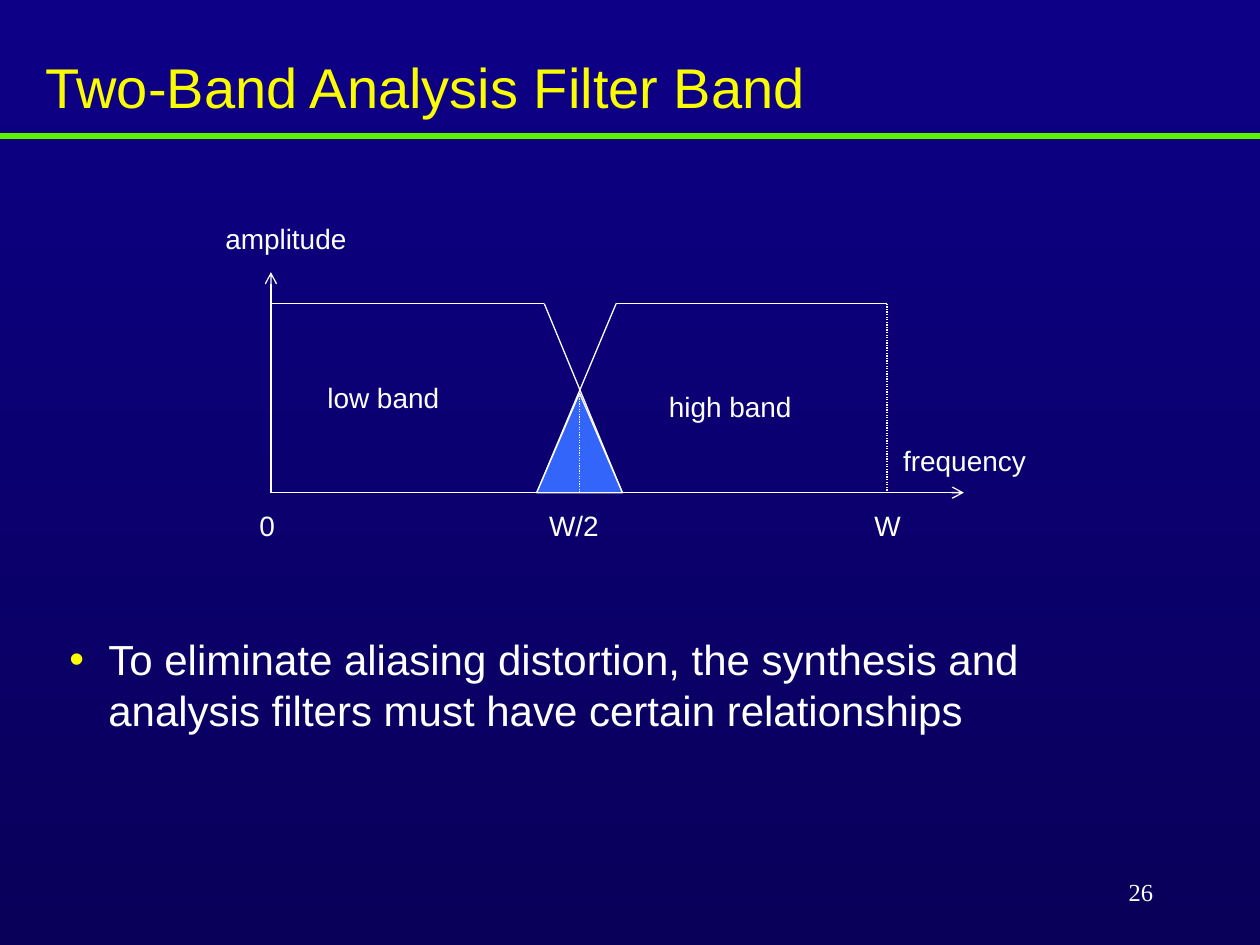
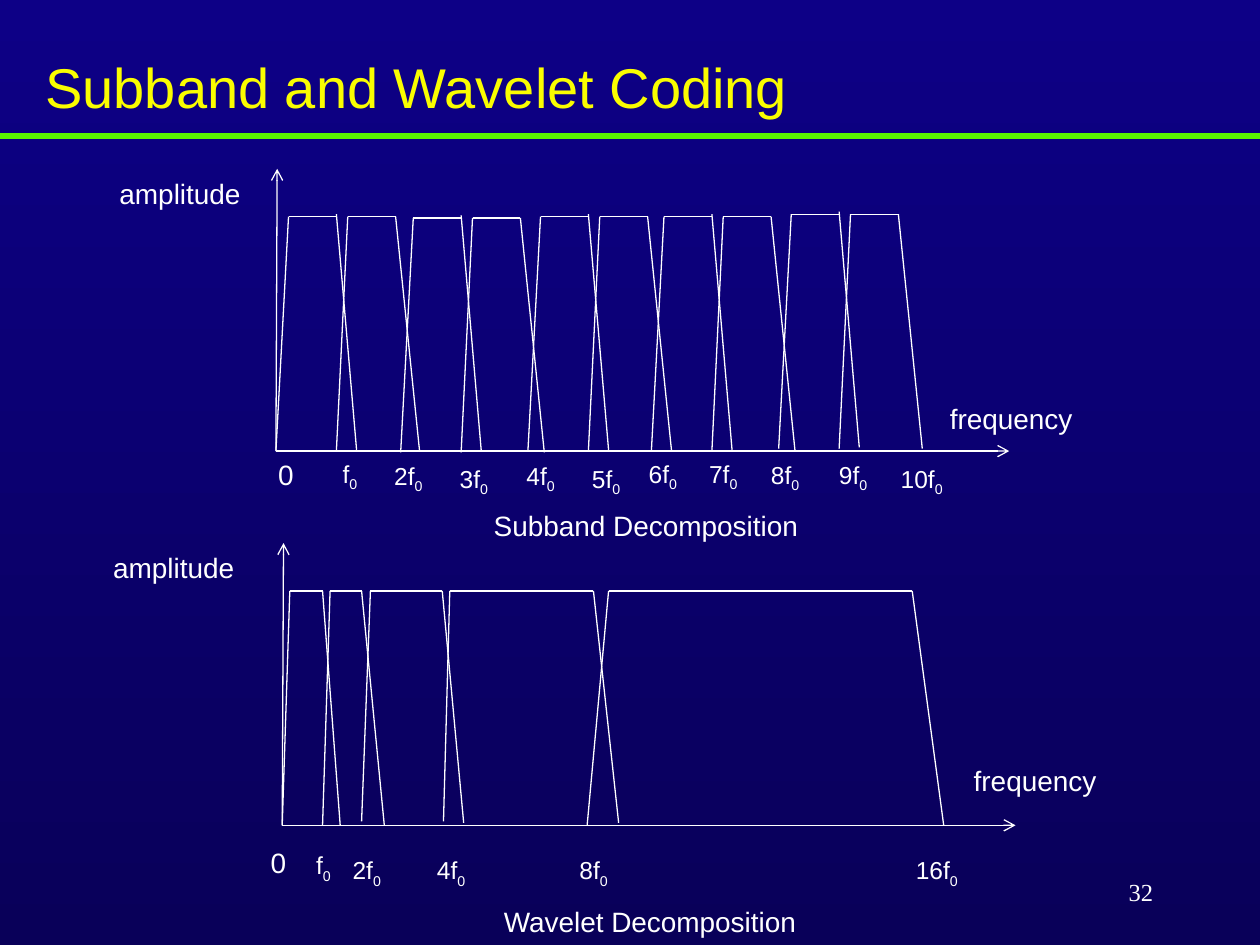
from dataclasses import dataclass
from typing import Any, Optional

from lxml.etree import SubElement
from pptx import Presentation
from pptx.dml.color import RGBColor
from pptx.enum.dml import MSO_LINE
from pptx.enum.shapes import MSO_CONNECTOR
from pptx.enum.text import MSO_ANCHOR, MSO_AUTO_SIZE, PP_ALIGN
from pptx.oxml.ns import qn
from pptx.util import Inches, Pt

COLORS = {
    "background_top": "0D0086",
    "background_bottom": "090059",
    "rule": "5AF400",
    "title": "FAFD00",
    "text": "FFFFFF",
    "overlap": "3365FB",
}
FONTS = {
    "title": {"name": "Arial", "size": Pt(32)},
    "body": {"name": "Arial", "size": Pt(24)},
    "label": {"name": "Arial", "size": Pt(16)},
    "tick": {"name": "Arial", "size": Pt(14)},
    "number": {"name": "Times New Roman", "size": Pt(14)},
}
FRAME = {
    "auto_size": MSO_AUTO_SIZE.NONE,
    "word_wrap": True,
    "margin_left": Inches(0.1),
    "margin_right": Inches(0.1),
    "margin_top": Inches(0.05),
    "margin_bottom": Inches(0.05),
}
PLAIN_PARAGRAPH = {"alignment": PP_ALIGN.LEFT, "space_before": Pt(0)}
TITLE_PARAGRAPH = {**PLAIN_PARAGRAPH, "line_spacing": 0.9}


@dataclass(frozen=True)
class Box:
    left: float
    top: float
    width: float
    height: float


@dataclass(frozen=True)
class Label:
    text: str
    box: Box
    style: str = "label"
    subscript: str = ""
    wrap: bool = True


@dataclass(frozen=True)
class Line:
    x1: float
    y1: float
    x2: float
    y2: float
    color: str = "text"
    weight: float = 0.75
    arrow: bool = False
    dash: Optional[Any] = None


@dataclass(frozen=True)
class Band:
    rise_foot: float
    rise_top: float
    fall_top: float
    fall_foot: float
    top: float
    rise_bottom: float
    fall_bottom: float
    peak: float = 0


def rgb(color: str) -> RGBColor:
    return RGBColor.from_string(COLORS[color])


def assign(target: Any, values: dict[str, Any]) -> None:
    for attribute, value in values.items():
        setattr(target, attribute, value)


def place(shape: Any, box: Box) -> None:
    for side in ("left", "top", "width", "height"):
        setattr(shape, side, Inches(getattr(box, side)))


def add_run(paragraph: Any, text: str, style: str, color: str = "text") -> Any:
    run = paragraph.add_run()
    run.text = text
    assign(run.font, FONTS[style])
    run.font.color.rgb = rgb(color)
    return run


def add_line(slide: Any, line: Line) -> None:
    ends = (Inches(value) for value in (line.x1, line.y1, line.x2, line.y2))
    connector = slide.shapes.add_connector(MSO_CONNECTOR.STRAIGHT, *ends)
    connector.line.color.rgb = rgb(line.color)
    connector.line.width = Pt(line.weight)
    if line.dash is not None:
        connector.line.dash_style = line.dash
    properties = connector._element.spPr
    if line.arrow:
        SubElement(properties.find(qn("a:ln")), qn("a:tailEnd"), type="arrow")
    SubElement(properties, qn("a:effectLst"))


def add_band(slide: Any, band: Band) -> None:
    add_line(slide, Line(band.rise_foot, band.rise_bottom, band.rise_top, band.top))
    add_line(slide, Line(band.rise_top, band.top, band.fall_top, band.top))
    add_line(slide, Line(band.fall_top, band.top - band.peak, band.fall_foot, band.fall_bottom))


def add_label(slide: Any, label: Label) -> Any:
    textbox = slide.shapes.add_textbox(0, 0, 0, 0)
    place(textbox, label.box)
    assign(textbox.text_frame, {**FRAME, "word_wrap": label.wrap})
    paragraph = textbox.text_frame.paragraphs[0]
    add_run(paragraph, label.text, label.style)
    if label.subscript:
        subscript = add_run(paragraph, label.subscript, label.style)
        subscript._r.get_or_add_rPr().set("baseline", "-25000")
    return textbox


def add_frequency_ticks(slide: Any, ticks: list[tuple[str, float, float, float]]) -> None:
    for multiple, left, top, width in ticks:
        add_label(slide, Label(f"{multiple}f", Box(left, top, width, 0.54), "tick", "0"))


def add_axes(slide: Any, x: float, y: float, lean: float) -> None:
    add_line(slide, Line(x, y, x + 5.82, y, arrow=True))
    add_line(slide, Line(x, y, x + lean, y - 2.24, arrow=True))


def fill_background(master: Any) -> None:
    fill = master.background.fill
    fill.gradient()
    fill.gradient_angle = 270
    for stop, color in zip(fill.gradient_stops, ("background_top", "background_bottom")):
        stop.color.rgb = rgb(color)
    for stop, position in zip(fill.gradient_stops, (0, 1)):
        stop.position = position


def start_slide(deck: Any, layout: int, title: str, number: str) -> Any:
    slide = deck.slides.add_slide(deck.slide_layouts[layout])
    add_line(slide, Line(0, 1.08, 10, 1.08, "rule", 3))
    heading = slide.shapes.title
    place(heading, Box(0.26, 0.44, 9.04, 0.55))
    assign(heading.text_frame, {**FRAME, "vertical_anchor": MSO_ANCHOR.MIDDLE})
    paragraph = heading.text_frame.paragraphs[0]
    assign(paragraph, TITLE_PARAGRAPH)
    add_run(paragraph, title, "title", "title")
    page = add_label(slide, Label(number, Box(7.17, 6.83, 2.08, 0.5), "number"))
    page.text_frame.vertical_anchor = MSO_ANCHOR.MIDDLE
    page.text_frame.paragraphs[0].alignment = PP_ALIGN.RIGHT
    return slide


def add_bullet(body: Any, text: str) -> None:
    place(body, Box(0.45, 4.98, 8.18, 1.36))
    assign(body.text_frame, FRAME)
    paragraph = body.text_frame.paragraphs[0]
    assign(paragraph, PLAIN_PARAGRAPH)
    properties = paragraph._p.get_or_add_pPr()
    properties.set("marL", str(Inches(0.31)))
    properties.set("indent", str(-Inches(0.31)))
    bullet_color = SubElement(properties, qn("a:buClr"))
    SubElement(bullet_color, qn("a:srgbClr"), val=COLORS["title"])
    SubElement(properties, qn("a:buChar"), char="•")
    add_run(paragraph, text, "body")


def build_two_band(deck: Any) -> None:
    slide = start_slide(deck, 1, "Two-Band Analysis Filter Band", "26")
    add_bullet(
        slide.placeholders[1],
        "To eliminate aliasing distortion, the synthesis and analysis filters "
        "must have certain relationships",
    )
    top, crossing, base = 2.41, 3.12, 3.91
    low_foot, middle, high_foot, band_end = 4.26, 4.6, 4.94, 7.04
    for line in (
        Line(2.16, base, 7.65, base, arrow=True),
        Line(2.15, base, 2.15, 2.16, arrow=True),
        Line(2.16, top, 4.32, top),
        Line(4.32, top, high_foot, base),
        Line(band_end, top, 4.89, top),
        Line(4.89, top, low_foot, base),
    ):
        add_line(slide, line)

    outline = slide.shapes.build_freeform(Inches(middle), Inches(crossing))
    outline.add_line_segments([(Inches(x), Inches(base)) for x in (low_foot, high_foot)])
    overlap = outline.convert_to_shape()
    overlap.shadow.inherit = False
    overlap.fill.solid()
    overlap.fill.fore_color.rgb = rgb("overlap")
    overlap.line.color.rgb = rgb("text")
    overlap.line.width = Pt(0.75)

    for x, y in ((middle, crossing), (band_end, top)):
        add_line(slide, Line(x, y, x, base, dash=MSO_LINE.ROUND_DOT))
    for label in (
        Label("frequency", Box(7.07, 3.47, 1.56, 0.47)),
        Label("amplitude", Box(1.69, 1.71, 1.83, 0.47)),
        Label("low band", Box(2.5, 2.97, 1.69, 0.55)),
        Label("high band", Box(5.21, 3.04, 1.29, 0.47)),
    ):
        add_label(slide, label)
    for tick, left in (("0", 1.96), ("W/2", 4.26), ("W", 6.84)):
        add_label(slide, Label(tick, Box(left, 3.99, 0.81, 0.47)))


def build_decompositions(deck: Any) -> None:
    slide = start_slide(deck, 5, "Subband and Wavelet Coding", "32")

    add_axes(slide, 2.19, 3.58, 0.01)
    for x, top in ((2.19, 1.72), (3.18, 1.73), (4.19, 1.72), (5.17, 1.72), (6.18, 1.7)):
        foot = top + 1.86
        add_band(slide, Band(x, x + 0.1, x + 0.48, x + 0.64, top, foot, foot - 0.01, 0.02))
        add_band(slide, Band(x + 0.48, x + 0.57, x + 0.95, x + 1.14, top, foot, foot))
    add_frequency_ticks(slide, [
        ("", 2.62, 3.59, 0.41),
        ("2", 3.03, 3.61, 0.59),
        ("3", 3.55, 3.63, 0.47),
        ("4", 4.08, 3.61, 0.47),
        ("5", 4.6, 3.63, 0.44),
        ("6", 5.05, 3.59, 0.44),
        ("7", 5.53, 3.59, 0.44),
        ("8", 6.02, 3.6, 0.44),
        ("9", 6.56, 3.6, 0.44),
        ("10", 7.05, 3.63, 0.7),
    ])

    add_axes(slide, 2.24, 6.55, 0.01)
    for band in (
        Band(2.24, 2.3, 2.56, 2.7, 4.69, 6.55, 6.55),
        Band(2.56, 2.62, 2.87, 3.05, 4.69, 6.55, 6.55),
        Band(2.87, 2.94, 3.51, 3.68, 4.69, 6.52, 6.53),
        Band(3.52, 3.57, 4.71, 4.91, 4.69, 6.52, 6.53),
        Band(4.66, 4.83, 7.24, 7.49, 4.69, 6.55, 6.55),
    ):
        add_band(slide, band)
    add_frequency_ticks(slide, [
        ("", 2.41, 6.7, 0.41),
        ("2", 2.7, 6.74, 0.59),
        ("4", 3.37, 6.74, 0.47),
        ("8", 4.5, 6.74, 0.59),
        ("16", 7.17, 6.74, 0.7),
    ])

    for label in (
        Label("0", Box(2.11, 3.58, 0.41, 0.54)),
        Label("frequency", Box(7.44, 3.14, 1.27, 0.54)),
        Label("amplitude", Box(0.85, 1.35, 1.27, 0.47)),
        Label("Subband Decomposition", Box(3.82, 3.99, 2.62, 0.37), wrap=False),
        Label("0", Box(2.05, 6.66, 0.76, 0.54)),
        Label("frequency", Box(7.63, 6.01, 1.27, 0.54)),
        Label("amplitude", Box(0.8, 4.32, 1.27, 0.47)),
        Label("Wavelet Decomposition", Box(3.9, 7.13, 2.53, 0.37), wrap=False),
    ):
        add_label(slide, label)


def main() -> None:
    deck = Presentation()
    deck.slide_width = Inches(10)
    deck.slide_height = Inches(7.5)
    fill_background(deck.slide_master)
    build_two_band(deck)
    build_decompositions(deck)
    deck.save("out.pptx")


if __name__ == "__main__":
    main()
